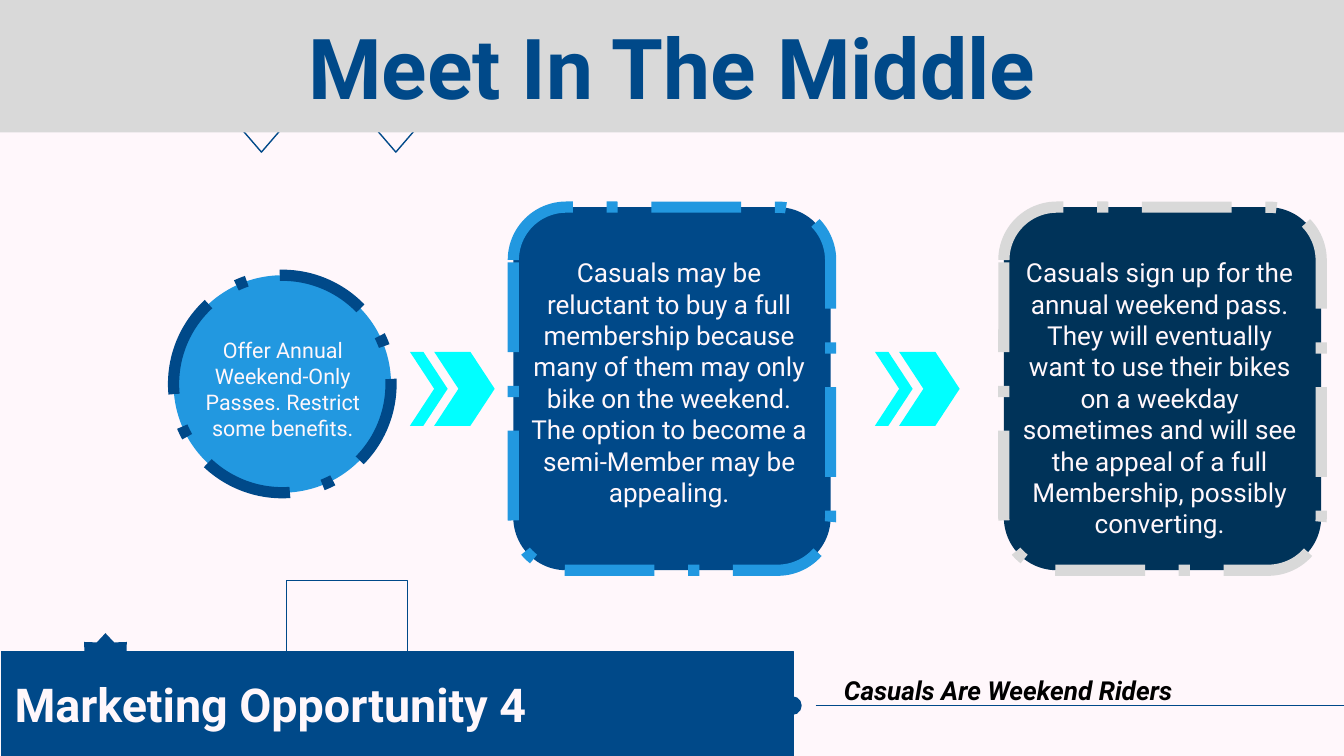
from typing import NamedTuple, Optional

from lxml import etree
from pptx import Presentation
from pptx.dml.color import RGBColor
from pptx.enum import dml, shapes, text
from pptx.oxml import ns
from pptx.util import Pt

BLUE = RGBColor(0x00, 0x49, 0x89)
NAVY = RGBColor(0x00, 0x33, 0x59)
SKY = RGBColor(0x22, 0x98, 0xE0)
CYAN = RGBColor(0x00, 0xFF, 0xFF)
GREY = RGBColor(0xD9, 0xD9, 0xD9)
PALE = RGBColor(0xFF, 0xF7, 0xFB)
BLACK = RGBColor(0x00, 0x00, 0x00)
FONT = "Roboto"
THIN, THICK = 0.75, 6
Kind = shapes.MSO_SHAPE


class Area(NamedTuple):
    left: float
    top: float
    width: float
    height: float

    def lengths(self) -> list:
        return [Pt(value) for value in self]


class Step(NamedTuple):
    """A dashed shape of the flow and the text laid over it."""
    kind: Kind
    area: Area
    fill: RGBColor
    border: RGBColor
    text_area: Area
    words: str
    size: float


STEPS = [
    Step(Kind.OVAL, Area(93, 147.5, 116.5, 116.5), SKY, BLUE,
         Area(103, 173.5, 97, 70.5),
         "Offer Annual Weekend-Only Passes. Restrict some benefits.", 11.5),
    Step(Kind.ROUNDED_RECTANGLE, Area(275, 111, 170, 194.5), BLUE, SKY,
         Area(275, 130.3, 167, 133),
         "Casuals may be reluctant to buy a full membership because many of "
         "them may only bike on the weekend. The option to become a "
         "semi-Member may be appealing.", 14),
    Step(Kind.ROUNDED_RECTANGLE, Area(537.8, 111, 170, 194.5), NAVY, GREY,
         Area(537.8, 130.3, 167, 150.5),
         "Casuals sign up for the annual weekend pass. They will eventually "
         "want to use their bikes on a weekday sometimes and will see the "
         "appeal of a full Membership, possibly converting.", 14),
]
ARROW_LEFTS = [219.6, 468.7]
ARROW_TOP, ARROW_HEIGHT, ARROW_NOTCH = 188.5, 39.6, 13
ARROW_PARTS = [(0, 7.2), (13, 19.4)]  # offset and flat width of each chevron
TRIANGLE_LEFTS = [128.9, 56.9]


def style(shape, fill: Optional[RGBColor] = None, line: Optional[RGBColor] = None,
          weight: float = THIN, dashed: bool = False) -> None:
    shape.shadow.inherit = False
    if fill is None:
        shape.fill.background()
    else:
        shape.fill.solid()
        shape.fill.fore_color.rgb = fill
    if line is None:
        shape.line.fill.background()
        return
    shape.line.color.rgb = line
    shape.line.width = Pt(weight)
    if dashed:
        shape.line.dash_style = dml.MSO_LINE.LONG_DASH_DOT


def add_shape(page, kind: Kind, area: Area, **look):
    shape = page.shapes.add_shape(kind, *area.lengths())
    style(shape, **look)
    return shape


def write(shape, words: str, *, size: float, color: RGBColor = PALE,
          bold: bool = False, italic: bool = False,
          align=text.PP_ALIGN.LEFT, anchor=text.MSO_ANCHOR.TOP) -> None:
    frame = shape.text_frame
    frame.word_wrap = True
    frame.auto_size = text.MSO_AUTO_SIZE.NONE
    frame.vertical_anchor = anchor
    frame.margin_left = frame.margin_right = Pt(7.2)
    frame.margin_top = frame.margin_bottom = Pt(7.2)
    para = frame.paragraphs[0]
    para.alignment = align
    span = para.add_run()
    span.text = words
    span.font.name = FONT
    span.font.size = Pt(size)
    span.font.bold = bold
    span.font.italic = italic
    span.font.color.rgb = color


def add_text(page, area: Area, words: str, **text_format) -> None:
    write(page.shapes.add_textbox(*area.lengths()), words, **text_format)


def add_rule(page, left: float, right: float, y: float) -> None:
    rule = page.shapes.add_connector(
        shapes.MSO_CONNECTOR.STRAIGHT, Pt(left), Pt(y), Pt(right), Pt(y))
    rule.line.color.rgb = BLUE
    rule.line.width = Pt(THIN)
    etree.SubElement(rule.element.spPr, ns.qn("a:effectLst"))


def add_arrow(page, left: float) -> None:
    """Draw a narrow and a wide chevron side by side."""
    middle, bottom = ARROW_TOP + ARROW_HEIGHT / 2, ARROW_TOP + ARROW_HEIGHT
    for offset, flat in ARROW_PARTS:
        x = left + offset
        points = [(x + ARROW_NOTCH, middle), (x, bottom), (x + flat, bottom),
                  (x + flat + ARROW_NOTCH, middle), (x + flat, ARROW_TOP)]
        outline = page.shapes.build_freeform(Pt(x), Pt(ARROW_TOP))
        outline.add_line_segments([(Pt(a), Pt(b)) for a, b in points], close=True)
        style(outline.convert_to_shape(), fill=CYAN)


def add_title(page, words: str) -> None:
    title = page.shapes.title
    title.left, title.top, title.width, title.height = Area(0, 0, 720, 71).lengths()
    title.fill.solid()
    title.fill.fore_color.rgb = GREY
    write(title, words, size=45, color=BLUE, bold=True,
          align=text.PP_ALIGN.CENTER, anchor=text.MSO_ANCHOR.MIDDLE)
    # Bring the band in front of the triangles.
    title.element.getparent().append(title.element)


def add_decoration(page) -> None:
    add_rule(page, 437, 720, 378)
    add_shape(page, Kind.OVAL, Area(419.5, 373, 10, 10), fill=BLUE)
    star = add_shape(page, Kind.STAR_8_POINT, Area(40.3, 339.2, 32.4, 32.4), fill=BLUE)
    star.adjustments[0] = 0.375
    for left in TRIANGLE_LEFTS:
        triangle = add_shape(page, Kind.ISOSCELES_TRIANGLE,
                             Area(left, -15, 166.3, 96.5), line=BLUE)
        triangle.rotation = 180
    add_shape(page, Kind.RECTANGLE, Area(153.4, 311, 64.8, 217.4), line=BLUE)


def main() -> None:
    deck = Presentation()
    deck.slide_width, deck.slide_height = Pt(720), Pt(405)
    page = deck.slides.add_slide(deck.slide_layouts[5])
    page.background.fill.solid()
    page.background.fill.fore_color.rgb = PALE

    add_decoration(page)
    add_title(page, "Meet In The Middle")
    banner = add_shape(page, Kind.RECTANGLE, Area(0.7, 349.2, 424.5, 56),
                       fill=BLUE, line=BLUE)
    write(banner, "Marketing Opportunity 4", size=25, bold=True,
          anchor=text.MSO_ANCHOR.MIDDLE)
    add_text(page, Area(445, 354.3, 275, 31.7), "Casuals Are Weekend Riders",
             size=14, color=BLACK, bold=True, italic=True)

    for step in STEPS:
        add_shape(page, step.kind, step.area, fill=step.fill, line=step.border,
                  weight=THICK, dashed=True)
        add_text(page, step.text_area, step.words, size=step.size,
                 align=text.PP_ALIGN.CENTER)
    for left in ARROW_LEFTS:
        add_arrow(page, left)

    deck.save("out.pptx")


if __name__ == "__main__":
    main()
